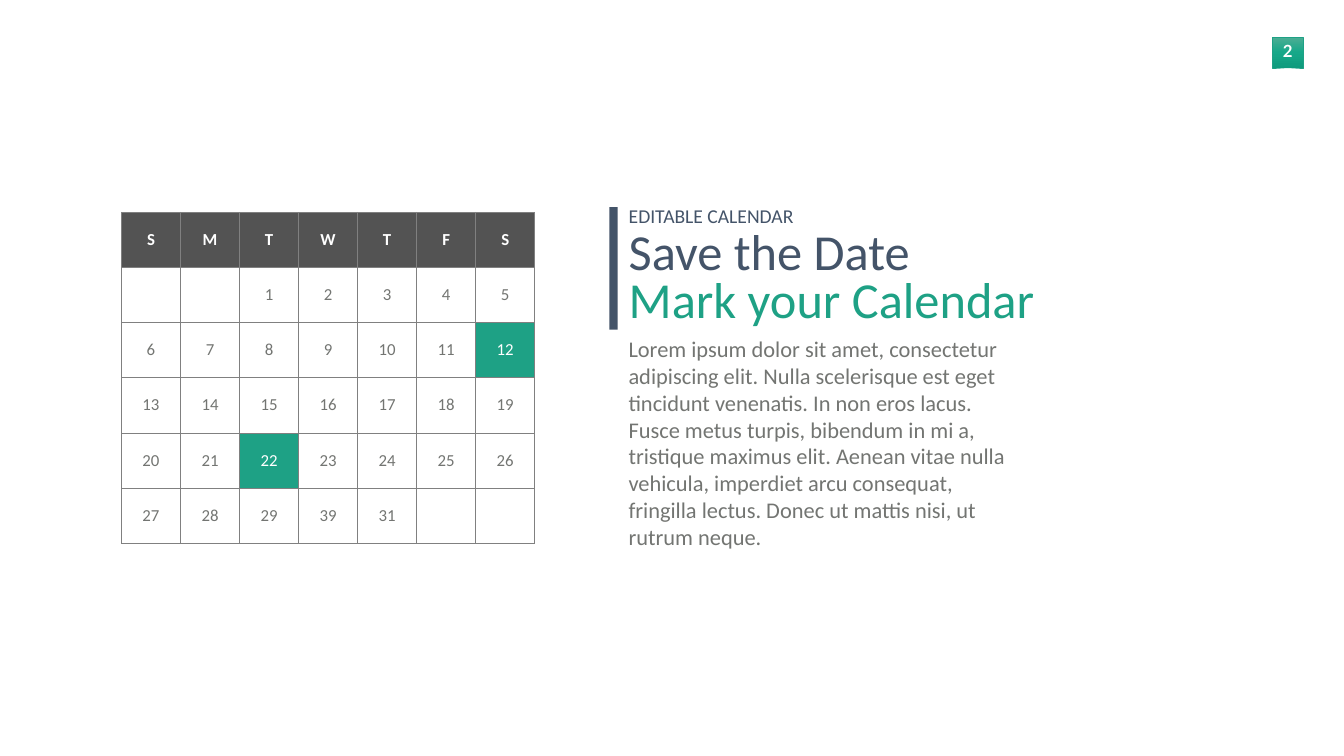
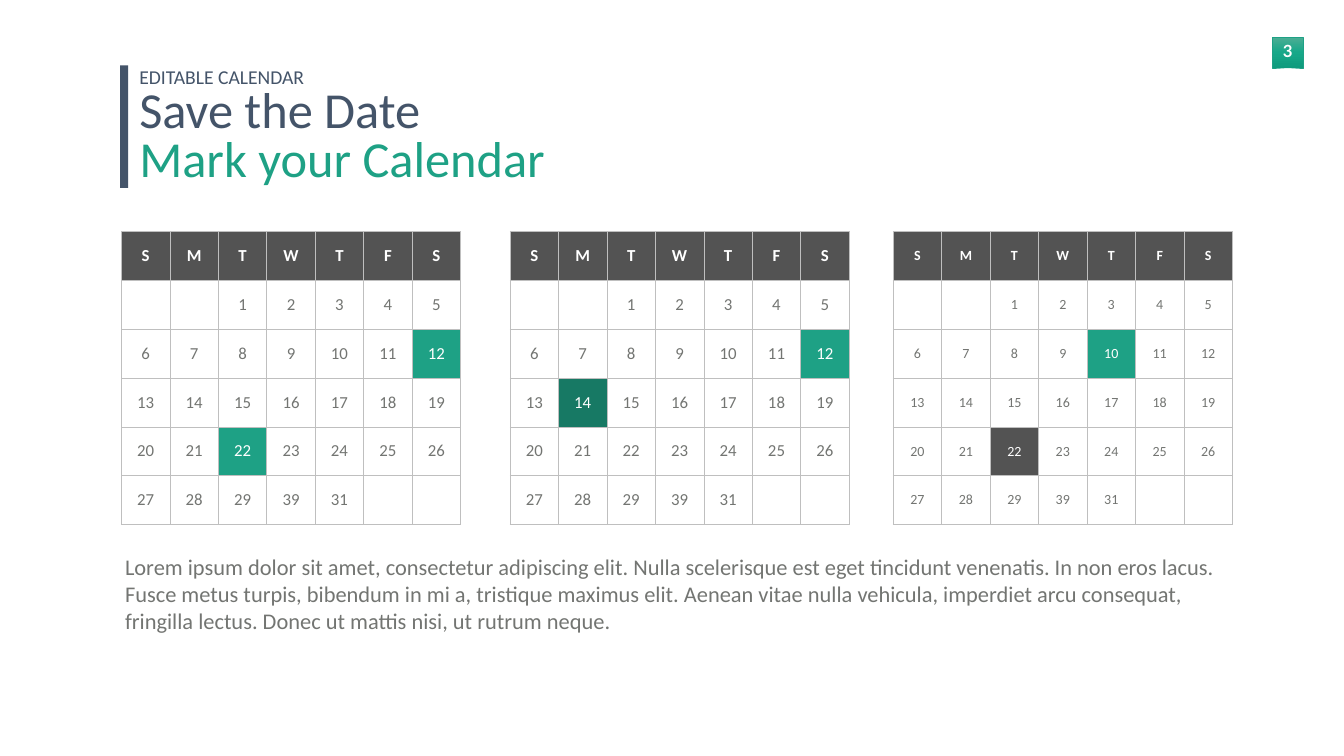
import copy

import pptx
import pptx.dml.color
import pptx.enum.shapes
import pptx.enum.text
import pptx.oxml
import pptx.oxml.ns
import pptx.util
from pptx.util import Cm

# Content
LABEL = "EDITABLE CALENDAR"
TITLE_LINES = ["Save the Date", "Mark your Calendar"]
BODY = ("Lorem ipsum dolor sit amet, consectetur adipiscing elit. Nulla scelerisque "
        "est eget tincidunt venenatis. In non eros lacus. Fusce metus turpis, bibendum "
        "in mi a, tristique maximus elit. Aenean vitae nulla vehicula, imperdiet arcu "
        "consequat, fringilla lectus. Donec ut mattis nisi, ut rutrum neque.")
WEEKS = [
    ["S", "M", "T", "W", "T", "F", "S"],
    ["", "", "1", "2", "3", "4", "5"],
    ["6", "7", "8", "9", "10", "11", "12"],
    ["13", "14", "15", "16", "17", "18", "19"],
    ["20", "21", "22", "23", "24", "25", "26"],
    ["27", "28", "29", "39", "31", "", ""],
]

# Shared look
FONT, NUMBER_FONT = "Calibri", "Lato"
WHITE, NAVY, GREEN, DEEP_GREEN = "FFFFFF", "445469", "1EA185", "177964"
CHARCOAL, GREY = "535353", "737572"
MID_BORDER, LIGHT_BORDER = "808080", "BFBFBF"
BADGE_STOPS = [(0, "4EAD94"), (0.5, "17A889"), (1, "0F9B7D")]

# Lengths in centimetres
SLIDES = [
    {
        "number": "2",
        "heading": {"left": 30.71, "top": 10.44, "label_rise": 0.3, "label_width": 19.81},
        "body": (31.42, 16.76, 19.81, 11.2),
        "grid": {"top": 10.69, "width": 20.83, "height": 16.69, "border": MID_BORDER},
        "calendars": [
            {"left": 6.12, "size": 24, "marked": {"12": GREEN, "22": GREEN}},
        ],
    },
    {
        "number": "3",
        "heading": {"left": 6.05, "top": 3.3, "label_rise": 0.15, "label_width": 24.33},
        "body": (6.05, 27.74, 56.03, 4.37),
        "grid": {"top": 11.66, "width": 17.09, "height": 14.78, "border": LIGHT_BORDER},
        "calendars": [
            {"left": 6.12, "size": 24, "marked": {"12": GREEN, "22": GREEN}},
            {"left": 25.7, "size": 24, "marked": {"12": GREEN, "14": DEEP_GREEN}},
            {"left": 45.01, "size": 20, "marked": {"10": GREEN, "22": CHARCOAL}},
        ],
    },
]


def rgb(color):
    """Turn a hex string into a colour."""
    return pptx.dml.color.RGBColor.from_string(color)


def style(paragraph, size, color, bold=False, font=FONT):
    """Format the runs of a paragraph."""
    for run in paragraph.runs:
        run.font.name = font
        run.font.size = pptx.util.Pt(size)
        run.font.bold = bold
        run.font.color.rgb = rgb(color)


def add_text(slide, box, lines, size, colors):
    """Add a wrapping text box with one paragraph and colour per line."""
    frame = slide.shapes.add_textbox(*map(Cm, box)).text_frame
    frame.word_wrap = True
    frame.auto_size = pptx.enum.text.MSO_AUTO_SIZE.SHAPE_TO_FIT_TEXT
    frame.text = "\n".join(lines)
    for paragraph, color in zip(frame.paragraphs, colors):
        style(paragraph, size, color)
    return frame


def add_block(slide, box):
    """Add a plain rectangle without a shadow."""
    block = slide.shapes.add_shape(pptx.enum.shapes.MSO_SHAPE.RECTANGLE, *map(Cm, box))
    block.shadow.inherit = False
    return block


def add_badge(slide, number):
    """Draw the page number on its gradient square."""
    square = add_block(slide, (64.11, 1.85, 1.57, 1.57))
    square.line.color.rgb = rgb(GREEN)
    square.line.width = pptx.util.Pt(0.5)
    square.fill.gradient()
    square.fill.gradient_angle = 270
    stop_list = square._element.spPr.find(".//" + pptx.oxml.ns.qn("a:gsLst"))
    stop_list.append(copy.deepcopy(stop_list[-1]))
    for stop, (position, color) in zip(square.fill.gradient_stops, BADGE_STOPS):
        stop.position = position
        stop.color.rgb = rgb(color)

    frame = add_text(slide, (63.86, 1.78, 2.06, 1.55), [number], 24, [WHITE])
    frame.word_wrap = False
    frame.margin_left = frame.margin_right = Cm(0.51)
    frame.margin_top = frame.margin_bottom = Cm(0.25)
    frame.paragraphs[0].alignment = pptx.enum.text.PP_ALIGN.CENTER
    style(frame.paragraphs[0], 24, WHITE, bold=True, font=NUMBER_FONT)


def add_heading(slide, left, top, label_rise, label_width):
    """Draw the label and two-line title beside their upright bar."""
    text_left = left + 0.72
    title = add_text(slide, (text_left, top + 1.12, 24.33, 5.28), TITLE_LINES, 72,
                     [NAVY, GREEN])
    for paragraph in title.paragraphs:
        paragraph.line_spacing = 0.8
    add_text(slide, (text_left, top - label_rise, label_width, 1.45), [LABEL], 28, [NAVY])
    bar = add_block(slide, (left, top, 0.41, 6.17))
    bar.fill.solid()
    bar.fill.fore_color.rgb = rgb(NAVY)
    bar.line.fill.background()


def set_borders(cell, color):
    """Give a cell a one-point line on all four sides."""
    properties = cell._tc.get_or_add_tcPr()
    for index, side in enumerate(("lnL", "lnR", "lnT", "lnB")):
        properties.insert(index, pptx.oxml.parse_xml(
            f'<a:{side} {pptx.oxml.ns.nsdecls("a")} w="12700"><a:solidFill>'
            f'<a:srgbClr val="{color}"/></a:solidFill></a:{side}>'))


def add_calendar(slide, grid, left, size, marked):
    """Draw one month, with the marked days filled."""
    box = map(Cm, (left, grid["top"], grid["width"], grid["height"]))
    month = slide.shapes.add_table(len(WEEKS), len(WEEKS[0]), *box).table
    month.horz_banding = False
    for column in month.columns:
        column.width = Cm(grid["width"] / len(WEEKS[0]))
    for row in month.rows:
        row.height = Cm(grid["height"] / len(WEEKS))
    for week, days in enumerate(WEEKS):
        for weekday, day in enumerate(days):
            cell = month.cell(week, weekday)
            is_header = week == 0
            fill = CHARCOAL if is_header else marked.get(day)
            if fill:
                cell.fill.solid()
                cell.fill.fore_color.rgb = rgb(fill)
            else:
                cell.fill.background()
            set_borders(cell, grid["border"])
            cell.vertical_anchor = pptx.enum.text.MSO_ANCHOR.MIDDLE
            cell.text_frame.text = day
            paragraph = cell.text_frame.paragraphs[0]
            paragraph.alignment = pptx.enum.text.PP_ALIGN.CENTER
            style(paragraph, size, WHITE if fill else GREY, bold=is_header)


def main():
    """Build and save the slides."""
    deck = pptx.Presentation()
    deck.slide_width, deck.slide_height = Cm(67.72), Cm(38.1)
    for page in SLIDES:
        slide = deck.slides.add_slide(deck.slide_layouts[6])
        add_badge(slide, page["number"])
        for calendar in page["calendars"]:
            add_calendar(slide, page["grid"], **calendar)
        add_heading(slide, **page["heading"])
        add_text(slide, page["body"], [BODY], 32, [GREY])
    deck.save("out.pptx")


main()
